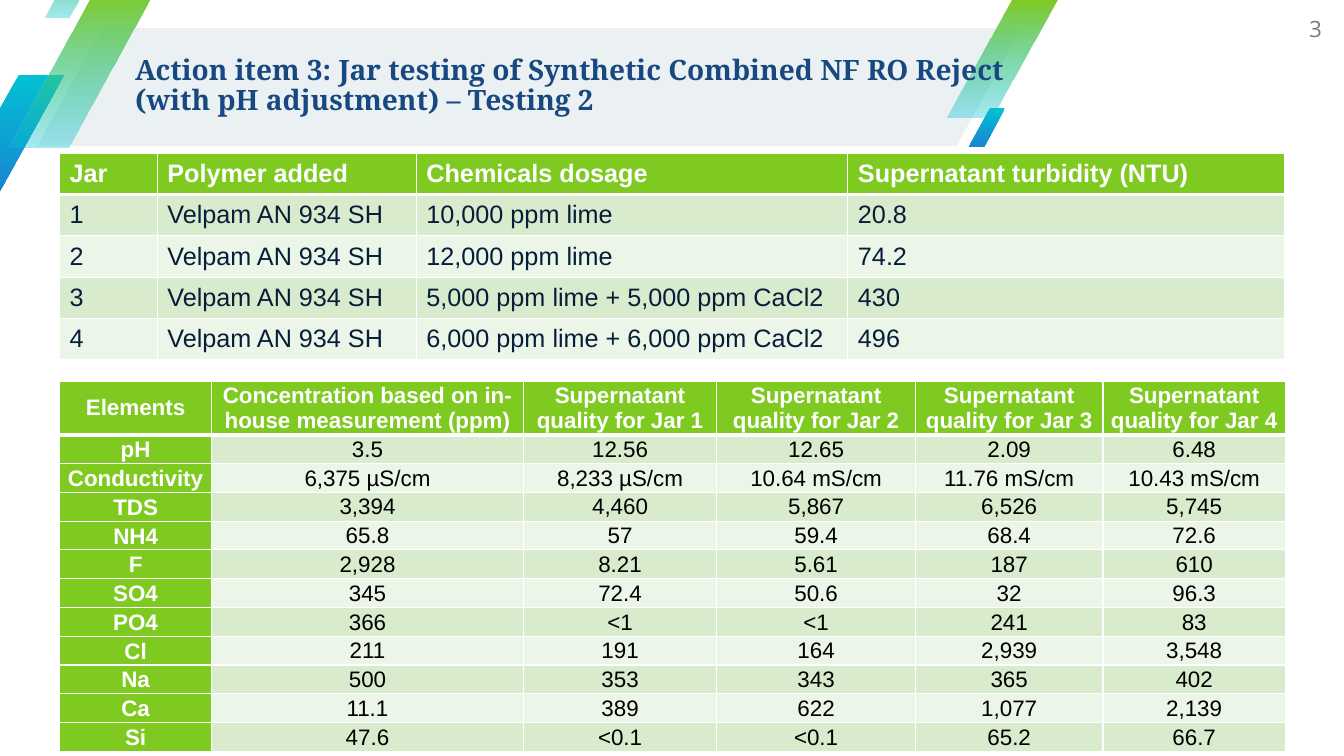
import pptx
import pptx.util
import pptx.dml.color
import pptx.enum.shapes
import pptx.enum.text
import pptx.oxml
import pptx.oxml.ns

Inches, Pt = pptx.util.Inches, pptx.util.Pt
ALIGN = pptx.enum.text.PP_ALIGN
MIDDLE = pptx.enum.text.MSO_ANCHOR.MIDDLE

COLORS = {
    "white": "FFFFFF", "black": "000000", "navy": "061E3A", "title": "184880",
    "number": "757C83", "panel": "EBF0F3", "green": "7FCA20", "teal": "02C1D3",
    "blue": "1985D2", "band_dark": "D8ECCD", "band_light": "ECF6E8",
}

TURBIDITY = [
    ["Jar", "Polymer added", "Chemicals dosage", "Supernatant turbidity (NTU)"],
    ["1", "Velpam AN 934 SH", "10,000 ppm lime", "20.8"],
    ["2", "Velpam AN 934 SH", "12,000 ppm lime", "74.2"],
    ["3", "Velpam AN 934 SH", "5,000 ppm lime + 5,000 ppm CaCl2", "430"],
    ["4", "Velpam AN 934 SH", "6,000 ppm lime + 6,000 ppm CaCl2", "496"],
]

QUALITY = [
    ["Elements", "Concentration based on in-house measurement (ppm)"]
    + [f"Supernatant quality for Jar {jar}" for jar in range(1, 5)],
    ["pH", "3.5", "12.56", "12.65", "2.09", "6.48"],
    ["Conductivity", "6,375 µS/cm", "8,233 µS/cm", "10.64 mS/cm", "11.76 mS/cm", "10.43 mS/cm"],
    ["TDS", "3,394", "4,460", "5,867", "6,526", "5,745"],
    ["NH4", "65.8", "57", "59.4", "68.4", "72.6"],
    ["F", "2,928", "8.21", "5.61", "187", "610"],
    ["SO4", "345", "72.4", "50.6", "32", "96.3"],
    ["PO4", "366", "<1", "<1", "241", "83"],
    ["Cl", "211", "191", "164", "2,939", "3,548"],
    ["Na", "500", "353", "343", "365", "402"],
    ["Ca", "11.1", "389", "622", "1,077", "2,139"],
    ["Si", "47.6", "<0.1", "<0.1", "65.2", "66.7"],
]


def rgb(name):
    return pptx.dml.color.RGBColor.from_string(COLORS[name])


def apply_format(target, values):
    for attribute, value in values.items():
        setattr(target, attribute, value)


def margins(left, top, right, bottom):
    sides = zip(("left", "top", "right", "bottom"), (left, top, right, bottom))
    return {f"margin_{side}": Inches(size) for side, size in sides}


class SlideBuilder:
    def __init__(self, slide):
        self.shapes = slide.shapes

    def fill_paragraph(self, paragraph, text, font, color, paragraph_format):
        run = paragraph.add_run()
        run.text = text
        apply_format(run.font, font)
        run.font.color.rgb = rgb(color)
        apply_format(paragraph, paragraph_format)

    def text(self, box, text, font, color, paragraph_format):
        frame = self.shapes.add_textbox(*map(Inches, box)).text_frame
        apply_format(frame, {"word_wrap": True, "vertical_anchor": MIDDLE, **margins(0, 0, 0, 0)})
        self.fill_paragraph(frame.paragraphs[0], text, font, color, paragraph_format)

    def ribbon(self, box, slant, colors, end_opacity=100):
        """Parallelogram with one solid colour or a top-to-bottom gradient."""
        kind = pptx.enum.shapes.MSO_SHAPE.PARALLELOGRAM
        shape = self.shapes.add_shape(kind, *map(Inches, box))
        shape.adjustments[0] = slant
        shape.shadow.inherit = False
        shape.line.fill.background()
        if len(colors) == 1:
            shape.fill.solid()
            shape.fill.fore_color.rgb = rgb(colors[0])
            return
        shape.fill.gradient()
        shape.fill.gradient_angle = 270
        for stop, color in zip(shape.fill.gradient_stops, colors):
            stop.color.rgb = rgb(color)
        if end_opacity < 100:
            end_color = shape.element.xpath(".//a:gs[2]/a:srgbClr")[0]
            alpha = pptx.oxml.parse_xml(
                f'<a:alpha {pptx.oxml.ns.nsdecls("a")} val="{end_opacity * 1000}"/>')
            end_color.append(alpha)

    def borders(self, cell, top, bottom):
        """White cell borders; the side ones are 1 pt wide."""
        properties = cell._tc.get_or_add_tcPr()
        widths = {"lnL": 1, "lnR": 1, "lnT": top, "lnB": bottom}
        for position, (side, width) in enumerate(widths.items()):
            properties.insert(position, pptx.oxml.parse_xml(
                f'<a:{side} {pptx.oxml.ns.nsdecls("a")} w="{Pt(width)}"><a:solidFill>'
                f'<a:srgbClr val="{COLORS["white"]}"/></a:solidFill></a:{side}>'))

    def table(self, box, values, widths, heights, size, body_color, align,
              head_margins, body_margins, label_format=None):
        """Banded table; label_format makes the first column a heading too."""
        grid = self.shapes.add_table(len(values), len(widths), *map(Inches, box)).table
        for column, width in zip(grid.columns, widths):
            column.width = Inches(width)
        for row, height in zip(grid.rows, heights):
            row.height = Inches(height)
        for r, row_values in enumerate(values):
            band = "band_dark" if r % 2 else "band_light"
            for c, value in enumerate(row_values):
                label = label_format is not None and r > 0 and c == 0
                heading = r == 0 or label
                cell = grid.cell(r, c)
                cell.fill.solid()
                cell.fill.fore_color.rgb = rgb("green" if heading else band)
                self.borders(cell, 3 if r == 1 else 1, 3 if r == 0 else 1)
                apply_format(cell, {"vertical_anchor": MIDDLE,
                                    **(head_margins if heading else body_margins)})
                self.fill_paragraph(
                    cell.text_frame.paragraphs[0], value,
                    {"name": "Arial", "size": Pt(size), "bold": heading},
                    "white" if heading else body_color,
                    {"alignment": align, **(label_format if label else {})})


def main():
    deck = pptx.Presentation()
    apply_format(deck, {"slide_width": Inches(13.33), "slide_height": Inches(7.5)})
    builder = SlideBuilder(deck.slides.add_slide(deck.slide_layouts[6]))

    builder.ribbon((0.37, 0.28, 9.76, 1.17), 0.55, ["panel"])
    blue_fade, green_fade = (["teal", "blue"], 100), (["green", "teal"], 34)
    for box, (colors, opacity) in [
        ((-0.46, 0.74, 1.1, 1.17), blue_fade),
        ((9.39, 0, 1.1, 1.17), green_fade),
        ((0.08, -0.1, 1.46, 1.56), green_fade),
        ((0.44, -0.48, 0.61, 0.65), green_fade),
        ((9.61, 1.07, 0.36, 0.39), blue_fade),
    ]:
        builder.ribbon(box, 0.59, colors, opacity)

    builder.text(
        (1.34, 0.26, 8.79, 1.19),
        "Action item 3: Jar testing of Synthetic Combined NF RO Reject "
        "(with pH adjustment) – Testing 2",
        {"name": "Noto Serif", "size": Pt(20), "bold": True}, "title",
        {"alignment": ALIGN.LEFT, "line_spacing": 0.9})
    builder.text((12.48, 0, 0.63, 0.57), "3", {"name": "Open Sans", "size": Pt(16)},
                 "number", {"alignment": ALIGN.RIGHT})

    builder.table(
        (0.59, 3.78, 12.15, 3.36), QUALITY, [1.51, 3.09, 1.92, 1.97, 1.86, 1.81],
        [0.5] + [0.26] * 11, 16, "black", ALIGN.CENTER,
        margins(0.03, 0, 0.03, 0), margins(0.01, 0.01, 0.01, 0),
        {"line_spacing": 1.07, "space_after": Pt(8)})
    cell_margins = margins(0.1, 0.05, 0.1, 0.05)
    builder.table(
        (0.59, 1.52, 12.15, 2.03), TURBIDITY, [0.97, 2.57, 4.28, 4.33],
        [0.41] * 5, 18, "navy", ALIGN.LEFT, cell_margins, cell_margins)

    deck.save("out.pptx")


if __name__ == "__main__":
    main()
